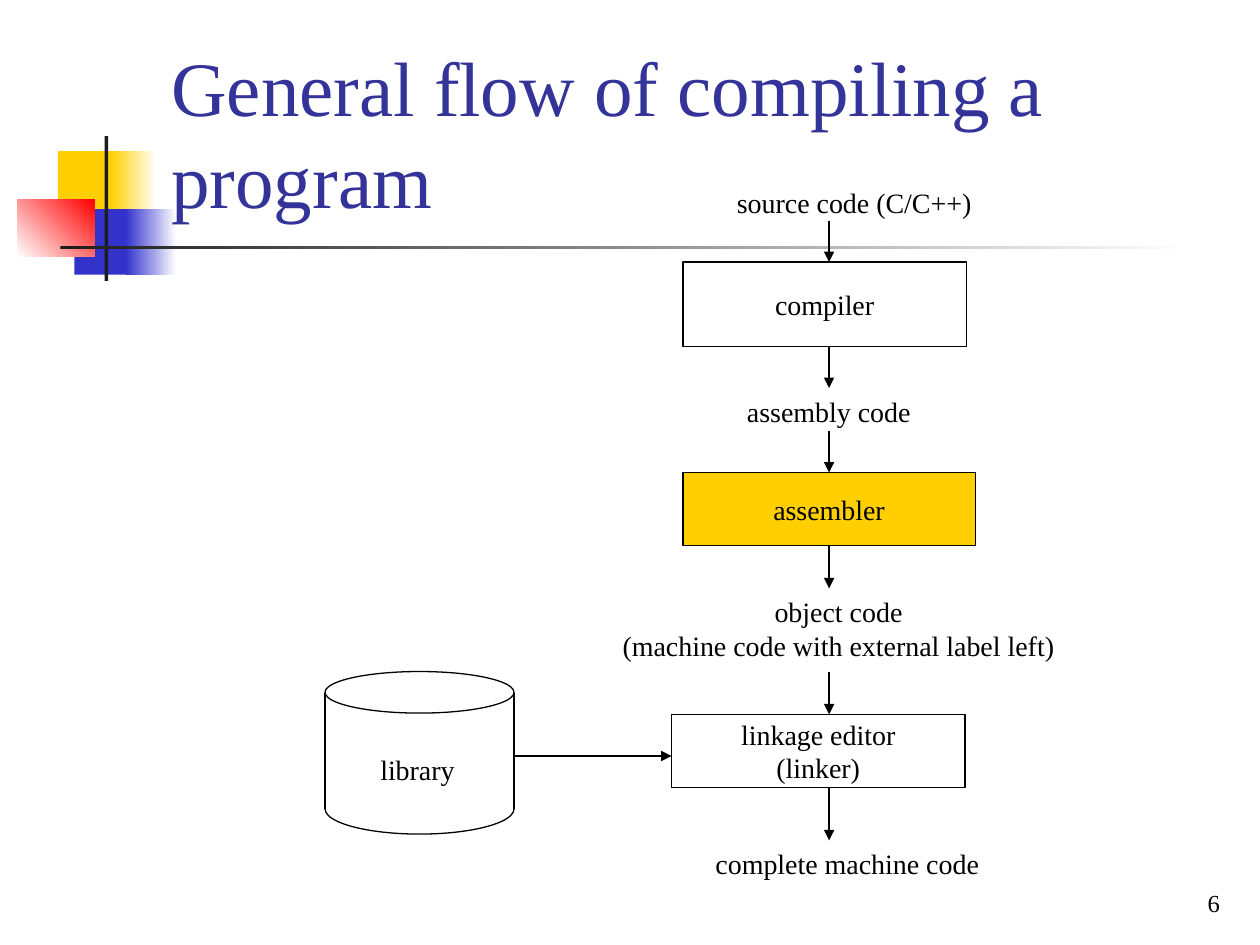
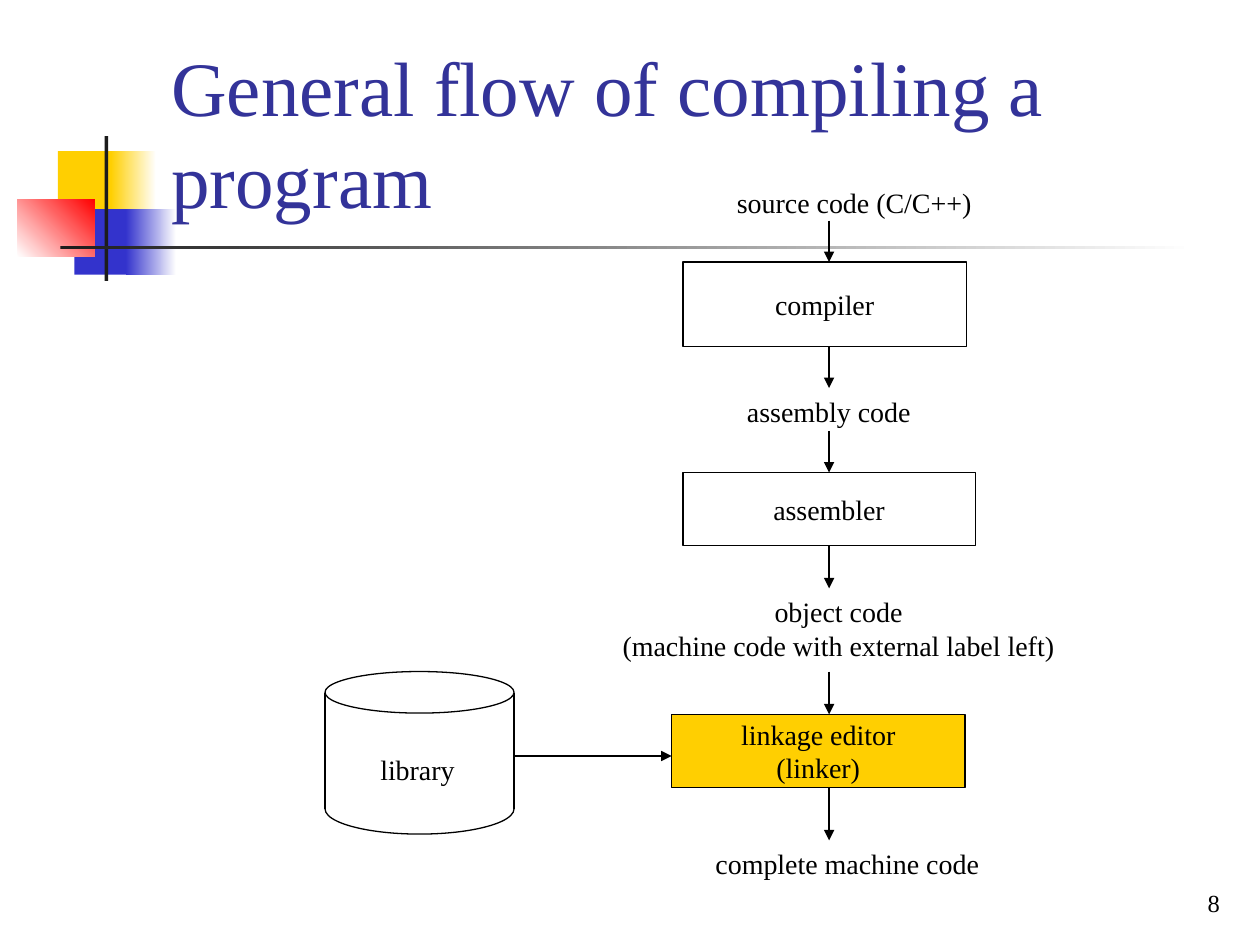
from lxml import etree
from pptx import Presentation
from pptx.dml.color import RGBColor
from pptx.enum import shapes as kinds, text as txt
from pptx.oxml.ns import qn
from pptx.util import Inches, Pt

FONT = "Times New Roman"
BLACK = RGBColor(0x00, 0x00, 0x00)
CHARCOAL = RGBColor(0x1C, 0x1C, 0x1C)
WHITE = RGBColor(0xFF, 0xFF, 0xFF)
YELLOW = RGBColor(0xFF, 0xCF, 0x01)
BLUE = RGBColor(0x33, 0x33, 0xCC)
RED = RGBColor(0xFF, 0x00, 0x00)
INDIGO = RGBColor(0x33, 0x33, 0x99)

RECT = kinds.MSO_SHAPE.RECTANGLE
LEFT, CENTER, RIGHT = txt.PP_ALIGN.LEFT, txt.PP_ALIGN.CENTER, txt.PP_ALIGN.RIGHT
TOP, MIDDLE, BOTTOM = (txt.MSO_ANCHOR.TOP, txt.MSO_ANCHOR.MIDDLE,
                       txt.MSO_ANCHOR.BOTTOM)

TITLE = "General flow of compiling a program"
PAGES = [  # number, highlighted stage
    ("6", "assembler"),
    ("8", "linker"),
]

# left, top, width, height, colours (two make a gradient), angle
MOTIF = [
    ((0.46, 1.2, 0.48, 0.52), (YELLOW,), 0),
    ((0.88, 1.2, 0.36, 0.52), (YELLOW, WHITE), 0),
    ((0.59, 1.66, 0.46, 0.52), (BLUE,), 0),
    ((1, 1.66, 0.4, 0.52), (BLUE, WHITE), 0),
    ((0.14, 1.58, 0.61, 0.46), (WHITE, RED), 45),
    ((0.83, 1.08, 0.03, 1.15), (CHARCOAL,), 0),
    ((0.48, 1.95, 9, 0.03), (CHARCOAL, WHITE), 0),
]
STAGES = {
    "compiler": ((5.42, 2.08, 2.25, 0.67), ["compiler"]),
    "assembler": ((5.42, 3.75, 2.32, 0.58), ["assembler"]),
    "linker": ((5.33, 5.67, 2.33, 0.58), ["linkage editor", "(linker)"]),
}
LABELS = [
    ((5.75, 1.42, 2.07, 0.37), ["source code (C/C++)"], LEFT),
    ((5.83, 3.08, 1.51, 0.37), ["assembly code"], LEFT),
    ((4.83, 4.67, 3.65, 0.64),
     ["object code", "(machine code with external label left)"], CENTER),
    ((2.92, 5.92, 0.8, 0.37), ["library"], LEFT),
    ((5.58, 6.67, 2.31, 0.37), ["complete machine code"], LEFT),
]
SPINE = 6.58  # x of the downward arrows
# top, bottom, stage whose top is met, stage whose bottom is left
FLOW = [
    (1.75, 2.08, None, None),
    (2.75, 3.08, None, None),
    (3.42, 3.75, "assembler", None),
    (4.33, 4.67, None, "assembler"),
    (5.33, 5.67, None, None),
    (6.25, 6.67, None, None),
]
DRUM_LEFT, DRUM_RIGHT = 2.58, 4.08
DRUM_TOP, DRUM_RIM, DRUM_BASE = 5.33, 5.5, 6.42
LID_HEIGHT, BASE_DEPTH = 0.33, 0.2
LIBRARY_ARROW_Y = 6


def inches(values):
    return [Inches(value) for value in values]


def write(frame, lines, size=16, color=BLACK, align=LEFT, anchor=TOP,
          wrap=False, fit=txt.MSO_AUTO_SIZE.NONE):
    frame.word_wrap = wrap
    frame.auto_size = fit
    frame.vertical_anchor = anchor
    for index, line in enumerate(lines):
        para = frame.paragraphs[0] if index == 0 else frame.add_paragraph()
        para.alignment = align
        span = para.add_run()
        span.text = line
        span.font.name = FONT
        span.font.size = Pt(size)
        span.font.color.rgb = color


def add_outline(parent, kind, place, fill=None):
    shape = parent.add_shape(kind, *inches(place))
    shape.shadow.inherit = False
    if fill is None:
        shape.fill.background()
    else:
        shape.fill.solid()
        shape.fill.fore_color.rgb = fill
    shape.line.color.rgb = BLACK
    shape.line.width = Pt(0.75)
    return shape


def add_line(parent, start, end, arrow=False):
    line = parent.add_connector(kinds.MSO_CONNECTOR.STRAIGHT,
                                *inches(start + end))
    line.line.color.rgb = BLACK
    line.line.width = Pt(0.75)
    properties = line.element.spPr
    if arrow:
        etree.SubElement(properties.find(qn("a:ln")), qn("a:tailEnd"),
                         type="triangle")
    etree.SubElement(properties, qn("a:effectLst"))
    return line


def add_label(parent, place, lines, **style):
    box = parent.add_textbox(*inches(place))
    write(box.text_frame, lines, **style)


def paint_layout(layout, page):
    """Draw the corner motif on a page, then move it to the shared layout."""
    for number, (place, colors, angle) in enumerate(MOTIF, start=101):
        block = page.shapes.add_shape(RECT, *inches(place))
        block.shadow.inherit = False
        block.line.fill.background()
        if len(colors) == 1:
            block.fill.solid()
            block.fill.fore_color.rgb = colors[0]
        else:
            block.fill.gradient()
            block.fill.gradient_angle = angle
            for stop, color in zip(block.fill.gradient_stops, colors):
                stop.color.rgb = color
        block.element.xpath(".//p:cNvPr")[0].set("id", str(number))
        layout.shapes.element.append(block.element)


def draw_drum(parent):
    width = DRUM_RIGHT - DRUM_LEFT
    add_outline(parent, kinds.MSO_SHAPE.OVAL,
                (DRUM_LEFT, DRUM_TOP, width, LID_HEIGHT))
    for x in (DRUM_LEFT, DRUM_RIGHT):
        add_line(parent, (x, DRUM_RIM), (x, DRUM_BASE))
    base = add_outline(parent, kinds.MSO_SHAPE.ARC,
                       (DRUM_LEFT, DRUM_BASE - BASE_DEPTH, width, 2 * BASE_DEPTH))
    base.adjustments[0] = 0
    base.adjustments[1] = 108  # half a turn, in units of 1/0.6 degree


def draw_flow(parent, highlight):
    boxes = {}
    for name, (place, lines) in STAGES.items():
        fill = YELLOW if name == highlight else None
        boxes[name] = add_outline(parent, RECT, place, fill)
        write(boxes[name].text_frame, lines, align=CENTER, anchor=MIDDLE)
    draw_drum(parent)
    for place, lines, align in LABELS:
        add_label(parent, place, lines, align=align,
                  fit=txt.MSO_AUTO_SIZE.SHAPE_TO_FIT_TEXT)
    for top, bottom, target, source in FLOW:
        arrow = add_line(parent, (SPINE, top), (SPINE, bottom), arrow=True)
        if source:
            arrow.begin_connect(boxes[source], 2)
        if target:
            arrow.end_connect(boxes[target], 0)
    add_line(parent, (DRUM_RIGHT, LIBRARY_ARROW_Y),
             (STAGES["linker"][0][0], LIBRARY_ARROW_Y), arrow=True)


def main():
    deck = Presentation()
    deck.slide_width, deck.slide_height = Inches(10), Inches(7.5)
    layout = deck.slide_layouts[5]
    for index, (number, highlight) in enumerate(PAGES):
        page = deck.slides.add_slide(layout)
        if index == 0:
            paint_layout(layout, page)
        title = page.shapes.title
        title.left, title.top, title.width, title.height = inches(
            (1.26, 0.23, 8.52, 1.6))
        write(title.text_frame, [TITLE], size=44, color=INDIGO,
              anchor=BOTTOM, wrap=True)
        draw_flow(page.shapes.add_group_shape().shapes, highlight)
        add_label(page.shapes, (7.7, 6.83, 2.08, 0.5), [number], size=14,
                  align=RIGHT, anchor=BOTTOM, wrap=True)
    deck.save("out.pptx")


if __name__ == "__main__":
    main()
